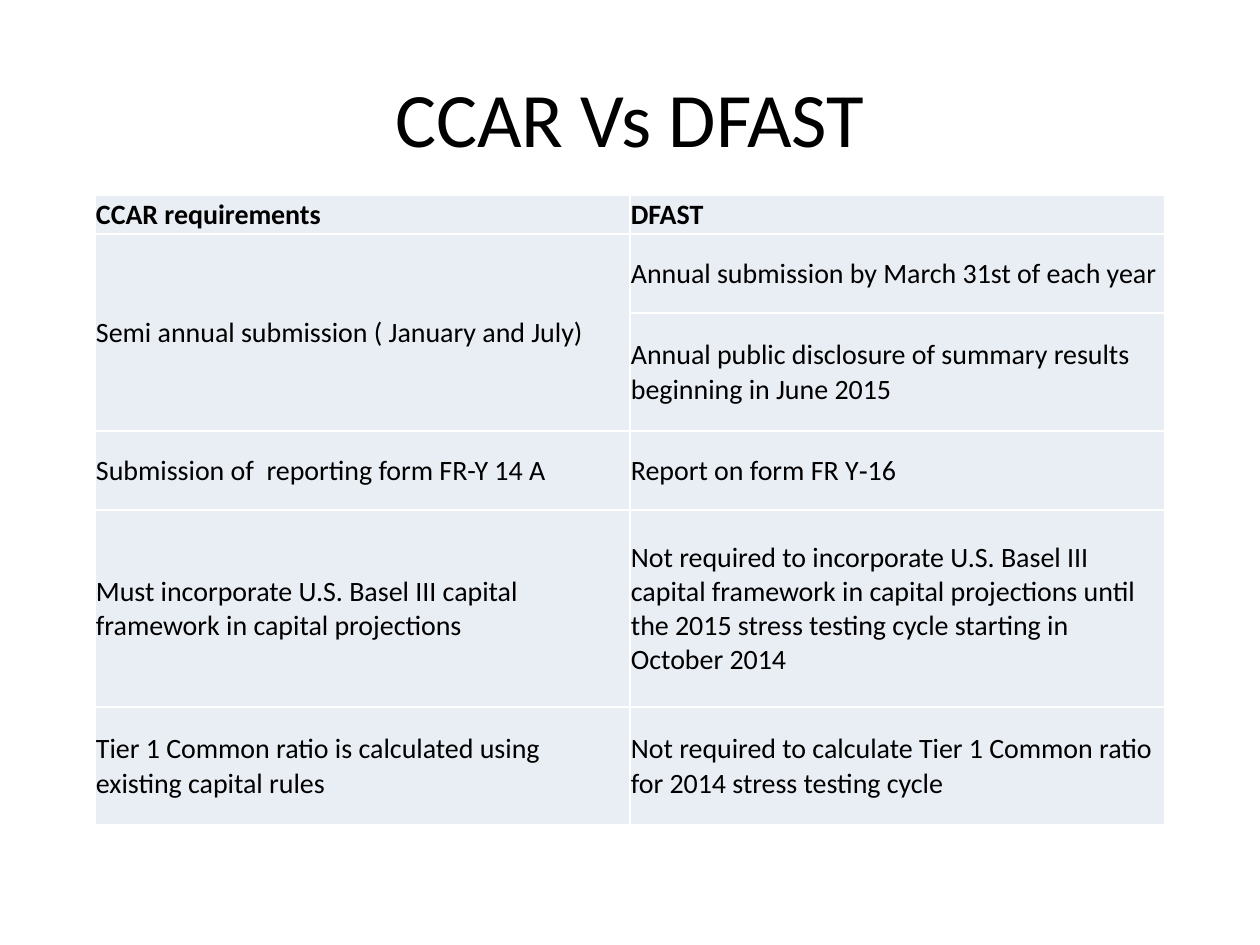
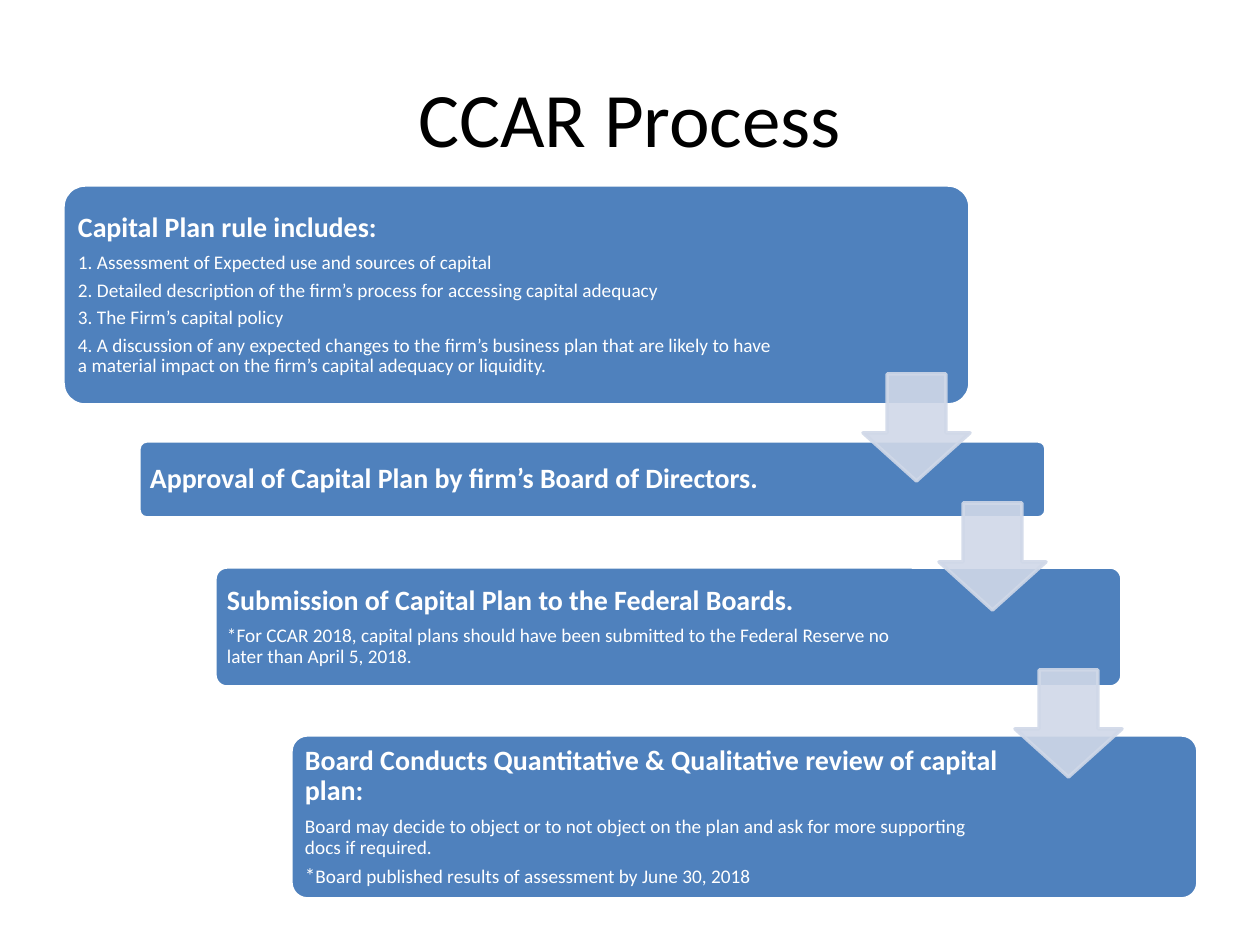
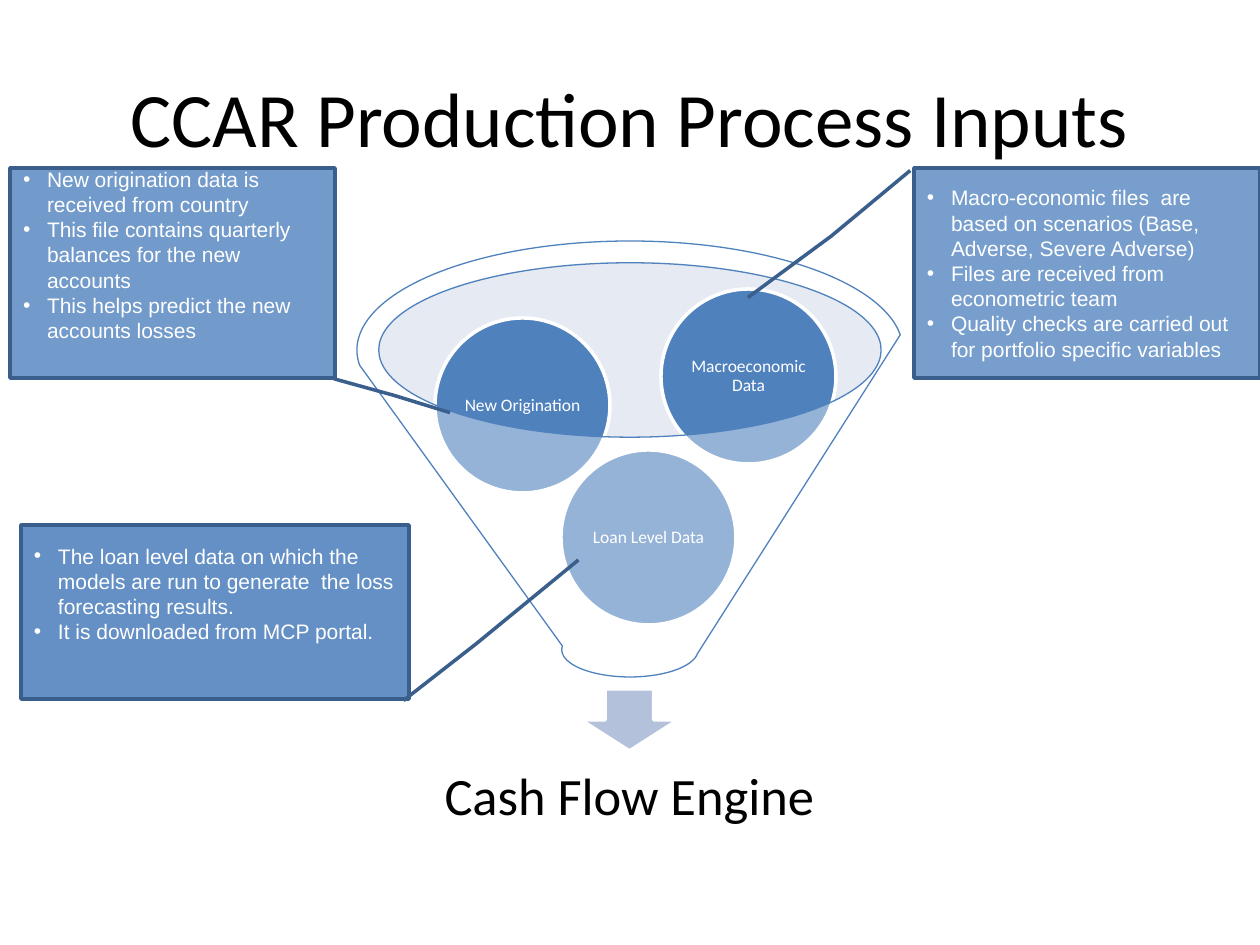
from lxml.etree import SubElement
from pptx import Presentation
from pptx.dml.color import RGBColor
from pptx.enum.shapes import MSO_SHAPE
from pptx.enum.text import MSO_ANCHOR, PP_ALIGN
from pptx.oxml import parse_xml
from pptx.oxml.ns import nsdecls, qn
from pptx.util import Emu, Pt

SCALE = 914400 // 126
BLACK = RGBColor(0, 0, 0)
WHITE = RGBColor(255, 255, 255)
BLUE = RGBColor(0x4F, 0x81, 0xBD)
NAVY = RGBColor(0x3A, 0x5F, 0x8C)
CELL = RGBColor(0xE9, 0xED, 0xF4)
PALE = RGBColor(0xD0, 0xD8, 0xE8)
MOUTH = RGBColor(0xC2, 0xCD, 0xE1)
SPOUT = RGBColor(0xB3, 0xC1, 0xDB)
BODY_FONT, NOTE_FONT = "Calibri", "Arial"

# Content: comparison table; None is covered by the cell above
COMPARISON = [
    ("CCAR requirements", "DFAST"),
    ("Semi annual submission\u00a0( January and July)",
     "Annual submission by March 31st of each year"),
    (None, "Annual public disclosure of summary results beginning in June 2015"),
    ("Submission of \u00a0reporting form\u00a0FR-Y 14 A", "Report on form FR Y\u201016"),
    ("Must incorporate U.S. Basel III capital framework in capital projections",
     "Not required to incorporate U.S. Basel III capital framework in capital "
     "projections until the 2015 stress testing cycle starting in October 2014"),
    ("Tier 1 Common ratio is calculated using existing capital rules",
     "Not required to calculate Tier 1 Common ratio for 2014 stress testing cycle "),
]
ROW_HEIGHTS = [39, 79, 118, 79, 197, 118]

# Content: process steps as top, height, heading, details
STEPS = [
    (185, 220, "Capital Plan rule includes:", [
        "1. Assessment of Expected use and sources of capital",
        "2. Detailed description of the firm’s process for accessing capital adequacy",
        "3. The Firm’s capital policy",
        "4. A discussion of any expected changes to the firm’s business plan that are "
        "likely to have a material impact on the firm’s capital adequacy or liquidity."]),
    (441, 77, "Approval of Capital Plan by firm’s Board of Directors.", []),
    (567, 120, "Submission of Capital Plan to the Federal Boards.", [
        "*For CCAR 2018, capital plans should have been submitted to the Federal "
        "Reserve no later than April 5, 2018."]),
    (735, 164, "Board Conducts Quantitative & Qualitative review of capital plan:", [
        "Board may decide to object or to not object on the plan and ask for more "
        "supporting docs if required.",
        "*Board published results of assessment by June 30, 2018"]),
]
ARROW_TOPS = [374, 503, 670]
STEP_SHIFT = 76

# Content: funnel inputs as label, left, top
INPUTS = [("Loan Level Data", 561, 450), ("New Origination", 435, 318),
          ("Macroeconomic Data", 661, 289)]

# Content: callouts as frame, opacity, bottom inset, pointer, notes
CALLOUTS = [
    ((10, 168, 325, 210), 80, 43, (1.004, 0.997, 1.083, 1.182, 1.165, 1.354), [
        "New origination data is received from country",
        "This file contains quarterly balances for the new accounts ",
        "This helps predict the new accounts losses"]),
    ((21, 525, 388, 174), 88, 43, (1.009, 0.986, 0.682, 1.174, 0.201, 1.437), [
        "The loan level data on which the models are run to generate  the loss "
        "forecasting results.",
        "It is downloaded from MCP portal."]),
    ((914, 168, 346, 210), 77, 6, (0.012, -0.011, 0.324, -0.239, 0.617, -0.48), [
        "Macro-economic files  are based on scenarios (Base, Adverse, Severe Adverse)",
        "Files are received from econometric team",
        "Quality checks are carried out  for portfolio specific variables"]),
]


def px(*lengths):
    return [Emu(int(length * SCALE)) for length in lengths]


def style_span(span, size, color, bold=False, font=BODY_FONT):
    span.font.name, span.font.size, span.font.bold = font, Pt(size), bold
    span.font.color.rgb = color


def set_margins(frame, margins):
    (frame.margin_left, frame.margin_top,
     frame.margin_right, frame.margin_bottom) = px(*margins)


def fill_frame(frame, lines, color, margins, align=PP_ALIGN.LEFT, tight=False,
               font=BODY_FONT):
    """Write lines of (text, size, bold) into a text frame."""
    frame.word_wrap = True
    frame.vertical_anchor = MSO_ANCHOR.MIDDLE
    set_margins(frame, margins)
    frame.text = "\n".join(text for text, size, bold in lines)
    for para, (text, size, bold) in zip(frame.paragraphs, lines):
        para.alignment = align
        style_span(para.runs[0], size, color, bold, font)
        if tight:
            para.line_spacing = 0.9
            after = SubElement(para._p.get_or_add_pPr(), qn("a:spcAft"))
            SubElement(after, qn("a:spcPct")).set("val", "35000")


def add_text(page, frame, lines, color, margins, **options):
    box = page.shapes.add_textbox(*px(*frame))
    fill_frame(box.text_frame, lines, color, margins, **options)
    return box


def set_opacity(paint, percent):
    color = paint.find(qn("a:solidFill")).find(qn("a:srgbClr"))
    SubElement(color, qn("a:alpha")).set("val", str(percent * 1000))


def add_figure(page, kind, frame, fill, line=None, width=2, opacity=100,
               line_opacity=100, adjust=()):
    shape = page.shapes.add_shape(kind, *px(*frame))
    shape.shadow.inherit = False
    for index, value in enumerate(adjust):
        shape.adjustments[index] = value
    shape.fill.solid()
    shape.fill.fore_color.rgb = fill
    if opacity < 100:
        set_opacity(shape.element.spPr, opacity)
    if line is None:
        shape.line.fill.background()
    else:
        shape.line.color.rgb = line
        shape.line.width = Pt(width)
        if line_opacity < 100:
            set_opacity(shape.element.spPr.find(qn("a:ln")), line_opacity)
    return shape


def add_page(title):
    page = deck.slides.add_slide(deck.slide_layouts[6])
    add_text(page, (63, 38, 1134, 157), [(title, 44, False)], BLACK, (13, 6, 13, 6),
             align=PP_ALIGN.CENTER)
    return page


def style_cell(cell, bold):
    cell.fill.solid()
    cell.fill.fore_color.rgb = CELL
    cell.vertical_anchor = MSO_ANCHOR.MIDDLE
    set_margins(cell, (1, 1, 1, 0))
    for span in cell.text_frame.paragraphs[0].runs:
        style_span(span, 16, BLACK, bold)
    for index, side in enumerate(("lnL", "lnR", "lnT", "lnB")):
        border = parse_xml(
            f'<a:{side} {nsdecls("a")} w="12700"><a:solidFill>'
            f'<a:srgbClr val="{WHITE}"/></a:solidFill></a:{side}>')
        cell._tc.get_or_add_tcPr().insert(index, border)


deck = Presentation()
deck.slide_width, deck.slide_height = px(1260, 945)

# Comparison table
page = add_page("CCAR Vs DFAST")
table = page.shapes.add_table(len(COMPARISON), 2,
                              *px(95, 195, 1070, sum(ROW_HEIGHTS))).table
table.first_row = table.horz_banding = False
for column in table.columns:
    column.width = px(535)[0]
for row, height in enumerate(ROW_HEIGHTS):
    table.rows[row].height = px(height)[0]
    for column, text in enumerate(COMPARISON[row]):
        cell = table.cell(row, column)
        cell.text = text or ""
        style_cell(cell, bold=row == 0)
        if text is None:
            table.cell(row - 1, column).merge(cell)

# Staircase of steps, then the arrows above them
page = add_page("CCAR Process")
for index, (top, height, heading, details) in enumerate(STEPS):
    left = 63 + index * STEP_SHIFT
    add_figure(page, MSO_SHAPE.ROUNDED_RECTANGLE, (left, top, 907, height), BLUE, WHITE,
               adjust=(0.1,))
    inset = round(height * 0.029)
    lines = [(heading, 16, True)] + [(detail, 11, False) for detail in details]
    box = add_text(page, (left + inset, top + inset, 724 - 2 * inset, height - 2 * inset),
                   lines, WHITE, (9, 9, 9, 9), tight=True)

# The last footnote has a larger star
footnote = box.text_frame.paragraphs[-1]
star, note = footnote.runs[0], footnote.add_run()
star.text, note.text = star.text[:1], star.text[1:]
style_span(star, 12, WHITE)
style_span(note, 11, WHITE)

for index, top in enumerate(ARROW_TOPS):
    add_figure(page, MSO_SHAPE.DOWN_ARROW, (863 + index * STEP_SHIFT, top, 107, 107), PALE,
               PALE, opacity=90, line_opacity=90, adjust=(0.55, 0.45))

# Funnel with its inputs and result
page = add_page("CCAR Production Process Inputs")
add_figure(page, MSO_SHAPE.OVAL, (378, 262, 503, 175), MOUTH, opacity=40)
add_figure(page, MSO_SHAPE.DOWN_ARROW, (581, 689, 97, 62), SPOUT, WHITE)
add_text(page, (396, 740, 467, 117), [("Cash Flow Engine", 30, False)], BLACK,
         (29, 29, 29, 29), align=PP_ALIGN.CENTER, tight=True)
for label, left, top in INPUTS:
    add_figure(page, MSO_SHAPE.OVAL, (left, top, 175, 175), BLUE, WHITE)
    add_text(page, (left + 26, top + 26, 123, 123), [(label, 10, False)], WHITE,
             (1, 1, 1, 1), align=PP_ALIGN.CENTER, tight=True)
add_figure(page, MSO_SHAPE.FUNNEL, (357, 241, 546, 436), WHITE, BLUE, 0.75, opacity=40)

# Callouts with bulleted notes
for frame, opacity, bottom, pointer, notes in CALLOUTS:
    callout = add_figure(page, MSO_SHAPE.LINE_CALLOUT_2, frame, BLUE, NAVY,
                         opacity=opacity, adjust=pointer)
    fill_frame(callout.text_frame, [(note, 12, False) for note in notes], WHITE,
               (13, 6, 13, bottom), font=NOTE_FONT)
    for para in callout.text_frame.paragraphs:
        settings = para._p.get_or_add_pPr()
        indent = px(24)[0]
        settings.set("marL", str(indent))
        settings.set("indent", str(-indent))
        SubElement(settings, qn("a:buFont")).set("typeface", NOTE_FONT)
        SubElement(settings, qn("a:buChar")).set("char", "•")

deck.save("out.pptx")
